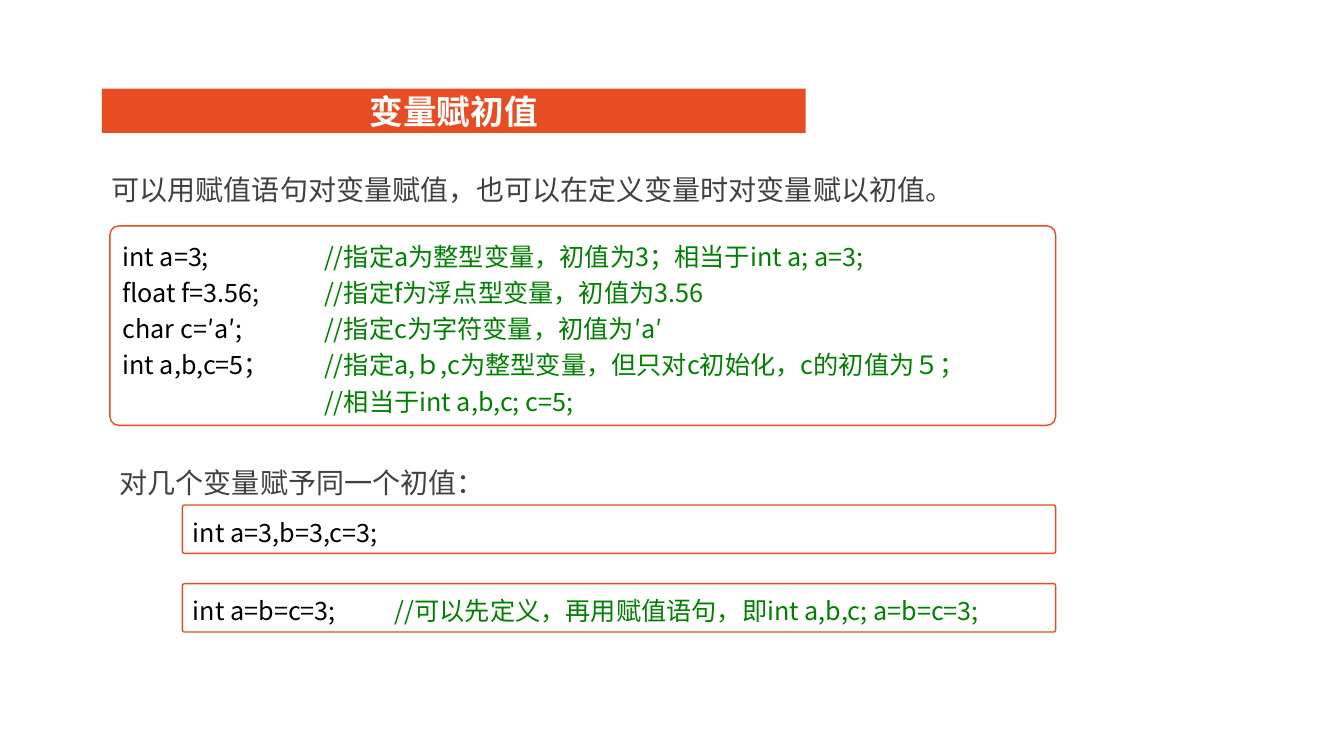
from lxml.etree import SubElement
from pptx import Presentation
from pptx.dml.color import RGBColor
from pptx.enum.shapes import MSO_SHAPE as Shape
from pptx.enum.text import MSO_ANCHOR as Anchor, PP_ALIGN as Align
from pptx.oxml.ns import qn
from pptx.util import Inches, Pt

FONT = "Noto Sans CJK SC"
ORANGE = RGBColor(0xE8, 0x4C, 0x22)
WHITE = RGBColor(0xFF, 0xFF, 0xFF)
GRAY = RGBColor(0x40, 0x40, 0x40)
BLACK = RGBColor(0, 0, 0)
GREEN = RGBColor(0, 0x80, 0)

CELL = Inches(0.1)
COMMENT_TAB = 20 * CELL

deck = Presentation()
deck.slide_width = int(133.3 * CELL)
deck.slide_height = 75 * CELL
page = deck.slides.add_slide(deck.slide_layouts[6])


def place(*grid):
    return [round(cells * CELL) for cells in grid]


def style(span, size, color, bold=False):
    span.font.size = Pt(size)
    span.font.bold = bold
    span.font.color.rgb = color
    span.font.name = FONT
    SubElement(span.font._element, qn("a:ea")).set("typeface", FONT)


title = page.shapes.add_shape(Shape.RECTANGLE, *place(10.1, 8.8, 69.8, 4.4))
title.shadow.inherit = False
title.fill.solid()
title.fill.fore_color.rgb = ORANGE
title.line.fill.background()
frame = title.text_frame
frame.margin_left = frame.margin_right = frame.margin_top = frame.margin_bottom = 0
frame.vertical_anchor = Anchor.MIDDLE
frame.text = "变量赋初值"
frame.paragraphs[0].alignment = Align.CENTER
style(frame.paragraphs[0].runs[0], 24, WHITE, True)

sentences = [
    ((10.1, 15, 104.5, 5.5), "可以用赋值语句对变量赋值，也可以在定义变量时对变量赋以初值。"),
    ((10.9, 44, 50.4, 6.1), "对几个变量赋予同一个初值："),
]
for grid, sentence in sentences:
    box = page.shapes.add_textbox(*place(*grid))
    box.text_frame.word_wrap = True
    box.text_frame.text = sentence
    para = box.text_frame.paragraphs[0]
    para.line_spacing = 1.5
    style(para.runs[0], 20, GRAY)

code_boxes = [
    ((10.9, 22.4, 93.8, 19.8), [
        ("int a=3;", "//指定a为整型变量，初值为3；相当于int a; a=3;"),
        ("float f=3.56;", "//指定f为浮点型变量，初值为3.56"),
        ("char c=′a′;", "//指定c为字符变量，初值为′a′"),
        ("int a,b,c=5；", "//指定a,ｂ,c为整型变量，但只对c初始化，c的初值为５；"),
        ("", "//相当于int a,b,c; c=5;"),
    ]),
    ((18.1, 50.1, 86.6, 4.8), [("int a=3,b=3,c=3;", "")]),
    ((18.1, 57.9, 86.6, 4.8), [
        ("int a=b=c=3;", "//可以先定义，再用赋值语句，即int a,b,c; a=b=c=3;"),
    ]),
]
for grid, lines in code_boxes:
    box = page.shapes.add_shape(Shape.ROUNDED_RECTANGLE, *place(*grid))
    box.adjustments[0] = 0.045
    box.shadow.inherit = False
    box.fill.solid()
    box.fill.fore_color.rgb = WHITE
    box.line.color.rgb = ORANGE
    box.line.width = Pt(1)
    frame = box.text_frame
    frame.word_wrap = True
    frame.vertical_anchor = Anchor.MIDDLE
    frame.text = "\n".join(code for code, comment in lines)
    for para, (code, comment) in zip(frame.paragraphs, lines):
        para.alignment = Align.JUSTIFY
        para.line_spacing = 1.2
        tabs = SubElement(para._p.get_or_add_pPr(), qn("a:tabLst"))
        SubElement(tabs, qn("a:tab"), pos=str(COMMENT_TAB), algn="l")
        for span in para.runs:
            style(span, 18, BLACK)
        if comment:
            span = para.add_run()
            span.text = "\t" + comment
            style(span, 18, GREEN)

deck.save("out.pptx")
